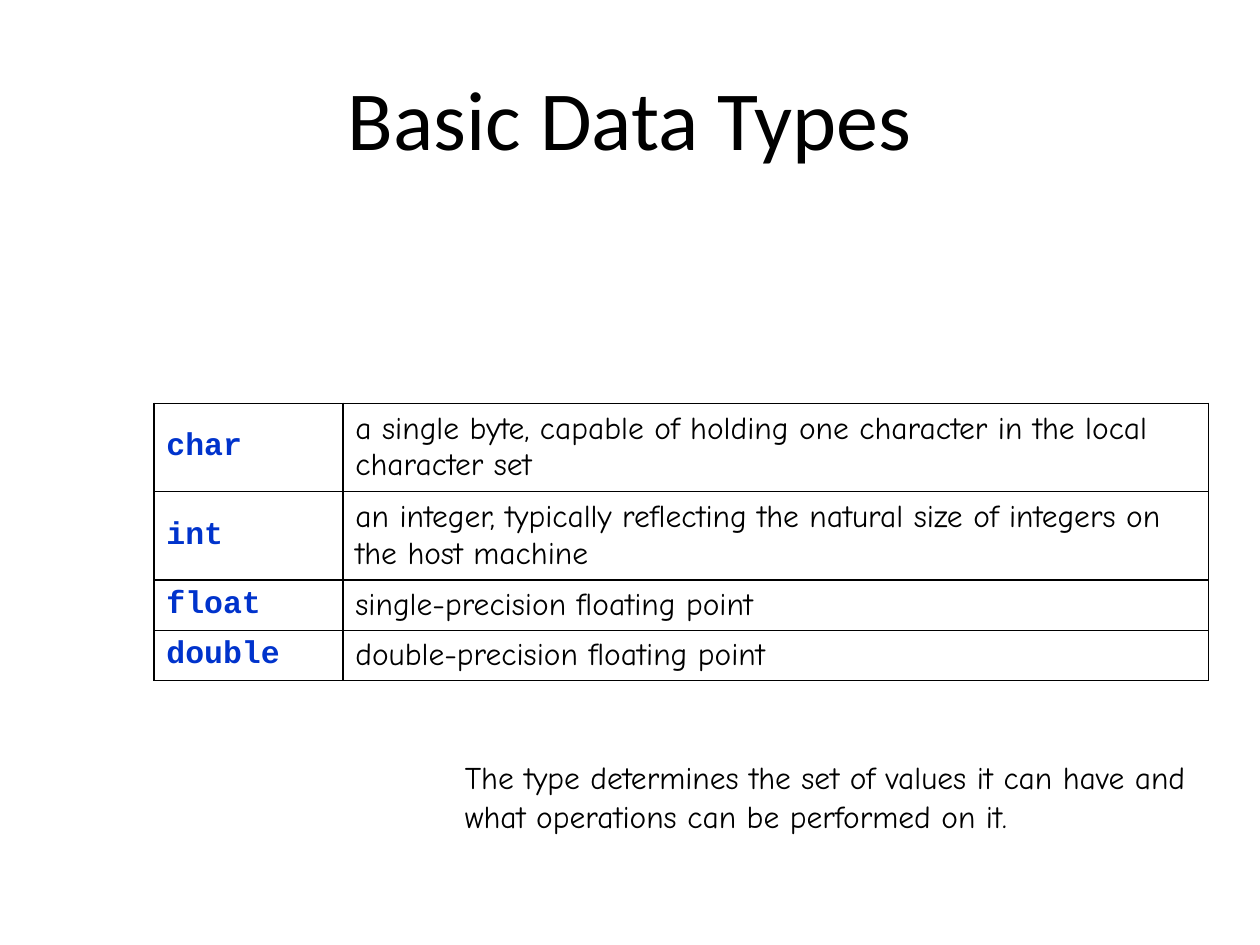
from dataclasses import dataclass

from lxml.etree import SubElement
from pptx import Presentation
from pptx.dml.color import RGBColor
from pptx.enum.text import MSO_ANCHOR as Anchor, PP_ALIGN as Align
from pptx.oxml.ns import qn
from pptx.util import Cm, Pt


@dataclass(frozen=True)
class Theme:
    ink: str = "000000"
    keyword: str = "0033CC"
    paper: str = "FFFFFF"
    title_font: str = "Calibri"
    body_font: str = "Comic Neue"
    code_font: str = "Courier New"
    title_size: int = 48
    body_size: int = 18
    border: int = 1


THEME = Theme()
DATA_TYPES = [
    ("char", "a single byte, capable of holding one character in the local character set"),
    ("int", "an integer, typically reflecting the natural size of integers on the host machine"),
    ("float", "single-precision floating point"),
    ("double", "double-precision floating point"),
]


def write(frame, text, *, font=THEME.body_font, size=THEME.body_size,
          color=THEME.ink, bold=False, align=Align.LEFT, spacing=None):
    para = frame.paragraphs[0]
    para.alignment = align
    para.line_spacing = spacing
    span = para.add_run()
    span.text = text
    span.font.name = font
    span.font.size = Pt(size)
    span.font.bold = bold
    span.font.color.rgb = RGBColor.from_string(color)


def add_text(page, text, left, top, width, height, anchor=Anchor.TOP, **style):
    box = page.shapes.add_textbox(Cm(left), Cm(top), Cm(width), Cm(height))
    box.text_frame.word_wrap = True
    box.text_frame.vertical_anchor = anchor
    write(box.text_frame, text, **style)


def outline(cell):
    properties = cell._tc.get_or_add_tcPr()
    for position, side in enumerate(("a:lnL", "a:lnR", "a:lnT", "a:lnB")):
        line = properties.makeelement(qn(side), {"w": str(Pt(THEME.border))})
        fill = SubElement(line, qn("a:solidFill"))
        SubElement(fill, qn("a:srgbClr"), val=THEME.ink)
        properties.insert(position, line)


def add_types_table(page, left, top, widths, row_height):
    count = len(DATA_TYPES)
    table = page.shapes.add_table(count, len(widths), Cm(left), Cm(top),
                                  Cm(sum(widths)), Cm(row_height * count)).table
    table.first_row = table.horz_banding = False
    for column, width in zip(table.columns, widths):
        column.width = Cm(width)
    styles = (dict(font=THEME.code_font, color=THEME.keyword, bold=True), {})
    for row, texts in enumerate(DATA_TYPES):
        for column, (text, style) in enumerate(zip(texts, styles)):
            cell = table.cell(row, column)
            cell.fill.solid()
            cell.fill.fore_color.rgb = RGBColor.from_string(THEME.paper)
            cell.vertical_anchor = Anchor.MIDDLE
            write(cell.text_frame, text, **style)
            outline(cell)


def main():
    deck = Presentation()
    deck.slide_width, deck.slide_height = Cm(25.4), Cm(19.05)
    page = deck.slides.add_slide(deck.slide_layouts[6])
    add_text(page, "Basic Data Types", 1.27, 0.76, 22.86, 3.18, anchor=Anchor.MIDDLE,
             font=THEME.title_font, size=THEME.title_size, align=Align.CENTER)
    add_types_table(page, 3.1, 8.13, (3.81, 17.45), 1)
    add_text(page, "The type determines the set of values it can have and "
             "what operations can be performed on it.", 9.12, 15.11, 15.24, 1.8, spacing=1.05)
    deck.save("out.pptx")


if __name__ == "__main__":
    main()
